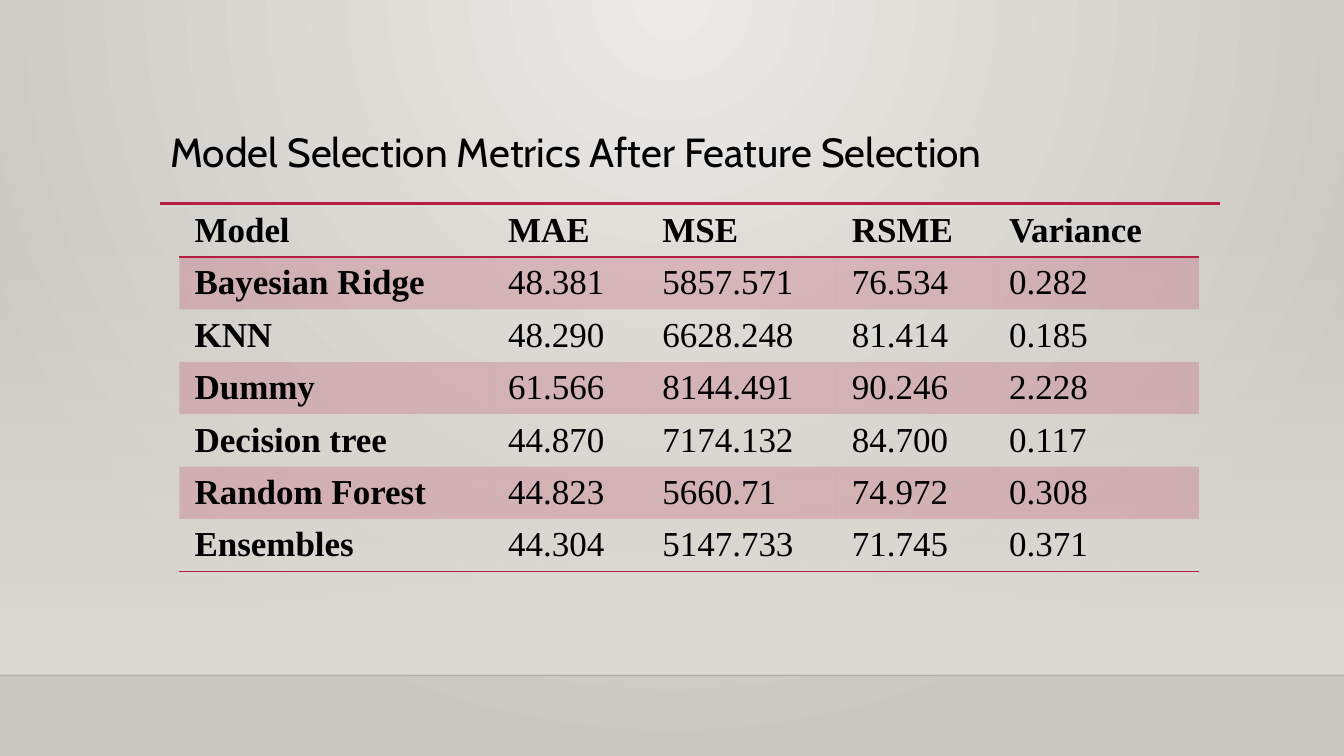
from lxml.etree import SubElement
from pptx import Presentation
from pptx.dml.color import RGBColor
from pptx.enum.shapes import MSO_CONNECTOR, MSO_SHAPE
from pptx.enum.text import MSO_ANCHOR, PP_ALIGN
from pptx.oxml import parse_xml
from pptx.oxml.ns import nsdecls, qn
from pptx.util import Inches, Pt

# Content
HEADING = "Model Selection Metrics After Feature Selection"
METRICS = [
    ("Model", "MAE", "MSE", "RSME", "Variance"),
    ("Bayesian Ridge", "48.381", "5857.571", "76.534", "0.282"),
    ("KNN", "48.290", "6628.248", "81.414", "0.185"),
    ("Dummy", "61.566", "8144.491", "90.246", "2.228"),
    ("Decision tree", "44.870", "7174.132", "84.700", "0.117"),
    ("Random Forest", "44.823", "5660.71", "74.972", "0.308"),
    ("Ensembles", "44.304", "5147.733", "71.745", "0.371"),
]

# Format
COLORS = {"glow": "ECEAE7", "edge": "CAC7C1", "wall": "DFDBD5",
          "floor": "000001", "accent": "B71E42", "text": "000000"}
WIDTH, HEIGHT = 13.33, 7.5
FLOOR, WALL_TOP = 6.7, 2.21
MARGIN, RULE_Y, RULE_END = 1.59, 2.02, 12.1
TABLE_LEFT, TABLE_TOP, ROW_HEIGHT = 1.78, 2.03, 0.52
COLUMN_WIDTHS = [3.11, 1.53, 1.88, 1.56, 2.03]
PLAIN_STYLE = "{2D5ABB26-0587-4C30-8999-92F81FD0307C}"
CELL_FORMAT = {"vertical_anchor": MSO_ANCHOR.MIDDLE,
               "margin_left": Inches(0.15), "margin_right": Inches(0.15),
               "margin_top": 0, "margin_bottom": 0}


def color(name):
    return RGBColor.from_string(COLORS[name])


def apply(target, formats):
    for key, value in formats.items():
        setattr(target, key, value)


def set_font(font, face, size, bold=False):
    apply(font, {"name": face, "size": Pt(size), "bold": bold})
    font.color.rgb = color("text")


def set_alpha(element, percent, index=0):
    rgb = list(element.iter(qn("a:srgbClr")))[index]
    SubElement(rgb, qn("a:alpha"), val=str(percent * 1000))


def set_gradient(fill, first, last):
    fill.gradient()
    for stop, name, position in zip(fill.gradient_stops, (first, last), (0, 1)):
        stop.color.rgb = color(name)
        stop.position = position


def add_line(start, end, y, name, weight):
    line = slide.shapes.add_connector(
        MSO_CONNECTOR.STRAIGHT, Inches(start), Inches(y), Inches(end), Inches(y))
    line.line.color.rgb = color(name)
    line.line.width = Pt(weight)
    SubElement(line.element.spPr, qn("a:effectLst"))
    return line


def add_borders(cell, sides):
    properties = cell._tc.get_or_add_tcPr()
    for index, side in enumerate(sides):
        properties.insert(index, parse_xml(
            f'<a:ln{side} {nsdecls("a")} w="{Pt(1)}"><a:solidFill>'
            f'<a:srgbClr val="{COLORS["accent"]}"/></a:solidFill></a:ln{side}>'))


deck = Presentation()
deck.slide_width, deck.slide_height = Inches(WIDTH), Inches(HEIGHT)
slide = deck.slides.add_slide(deck.slide_layouts[5])

# Background glow from the top centre
set_gradient(slide.background.fill, "glow", "edge")
glow = next(slide.element.iter(qn("a:gradFill")))
glow.remove(glow.find(qn("a:lin")))
glow.append(parse_xml(
    f'<a:path {nsdecls("a")} path="circle">'
    '<a:fillToRect l="43000" t="0" r="43000" b="100000"/></a:path>'))

# Wall fading in towards the floor line
wall = slide.shapes.add_shape(MSO_SHAPE.RECTANGLE, 0, Inches(WALL_TOP),
                              Inches(WIDTH), Inches(FLOOR - WALL_TOP))
wall.shadow.inherit = False
wall.line.fill.background()
set_gradient(wall.fill, "wall", "wall")
wall.fill.gradient_angle = 270
set_alpha(wall.element.spPr, 0)

floor_line = add_line(0, WIDTH, FLOOR, "floor", 1)
set_alpha(floor_line.element.spPr, 20)
add_line(MARGIN, RULE_END, RULE_Y, "accent", 2.5)

# Title
title = slide.shapes.title
apply(title, {"left": Inches(MARGIN), "top": Inches(1.26),
              "width": Inches(10.5), "height": Inches(1.15)})
title.text_frame.text = HEADING
apply(title.text_frame, {"vertical_anchor": MSO_ANCHOR.TOP, "word_wrap": True})
heading = title.text_frame.paragraphs[0]
apply(heading, {"alignment": PP_ALIGN.LEFT, "line_spacing": 0.9,
                "space_after": Pt(6)})
set_font(heading.runs[0].font, "Cabin", 29)

# Metrics table
table = slide.shapes.add_table(
    len(METRICS), len(COLUMN_WIDTHS), Inches(TABLE_LEFT), Inches(TABLE_TOP),
    Inches(sum(COLUMN_WIDTHS)), Inches(ROW_HEIGHT * len(METRICS))).table
apply(table, {"first_row": False, "horz_banding": False})
next(table._tbl.iter(qn("a:tableStyleId"))).text = PLAIN_STYLE
for column, width in zip(table.columns, COLUMN_WIDTHS):
    column.width = Inches(width)

for r, model in enumerate(METRICS):
    table.rows[r].height = Inches(ROW_HEIGHT)
    for c, value in enumerate(model):
        cell = table.cell(r, c)
        cell.text = value
        apply(cell, CELL_FORMAT)
        entry = cell.text_frame.paragraphs[0]
        entry.alignment = PP_ALIGN.JUSTIFY
        set_font(entry.runs[0].font, "Times New Roman", 25, r == 0 or c == 0)
        if r % 2:
            cell.fill.solid()
            cell.fill.fore_color.rgb = color("accent")
            set_alpha(cell._tc.tcPr, 20)
        else:
            cell.fill.background()
        if r == 0:
            add_borders(cell, "TB")
        elif r == len(METRICS) - 1:
            add_borders(cell, "B")

deck.save("out.pptx")
